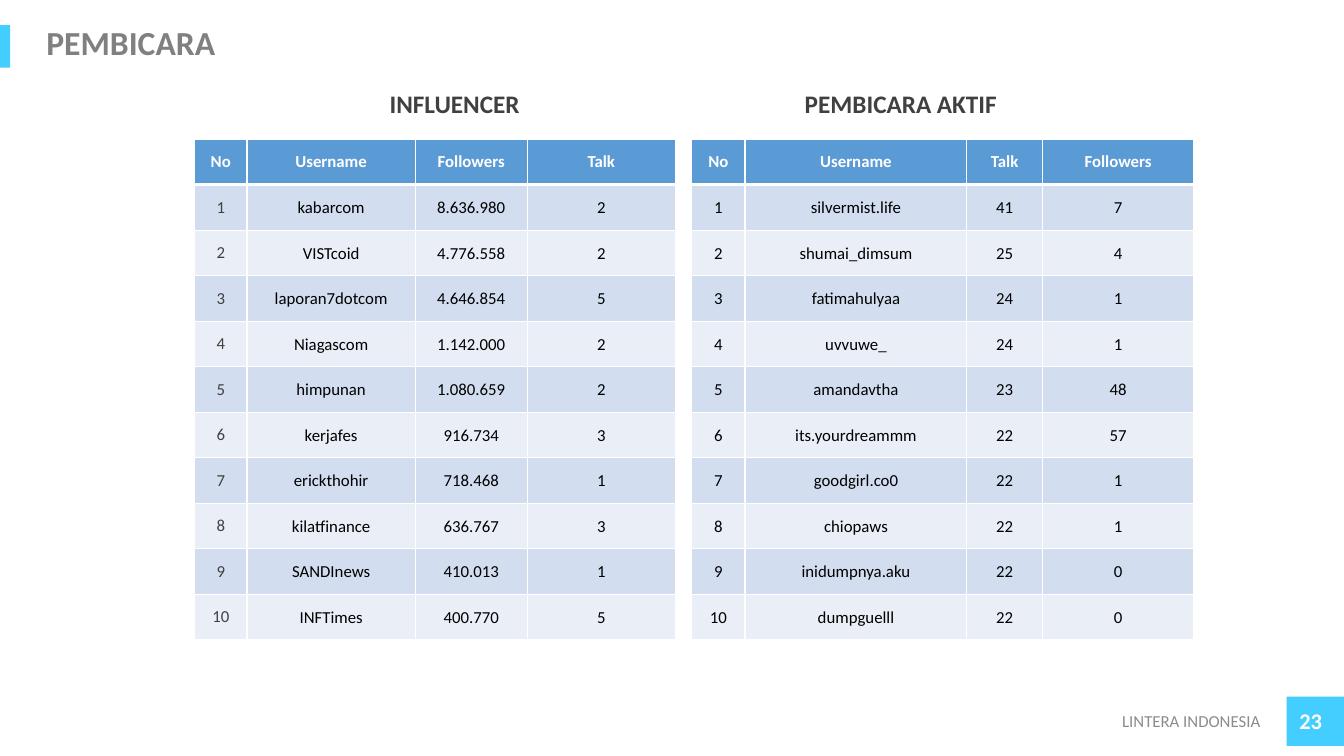
from lxml import etree
from pptx import Presentation
from pptx import util as u
from pptx.dml.color import RGBColor
from pptx.enum import shapes, text
from pptx.oxml import ns

CYAN = RGBColor(0x43, 0xCE, 0xFF)
BLUE = RGBColor(0x5B, 0x9B, 0xD5)
BAND_DARK = RGBColor(0xD2, 0xDE, 0xEF)
BAND_LIGHT = RGBColor(0xEA, 0xEF, 0xF7)
WHITE = RGBColor(0xFF, 0xFF, 0xFF)
BLACK = RGBColor(0, 0, 0)
CHARCOAL = RGBColor(0x40, 0x40, 0x40)
TITLE_GRAY = RGBColor(0x80, 0x80, 0x80)
FOOTER_GRAY = RGBColor(0x8C, 0x8C, 0x8C)

LEFT = text.PP_ALIGN.LEFT
CENTER = text.PP_ALIGN.CENTER
RIGHT = text.PP_ALIGN.RIGHT
MIDDLE = text.MSO_ANCHOR.MIDDLE
TOP = text.MSO_ANCHOR.TOP

TABLE_TOP = 1.38
TABLE_HEIGHT = 4.97
CELL_MARGINS = {"margin_left": 0.01, "margin_top": 0.01,
                "margin_right": 0.01, "margin_bottom": 0}

INFLUENCERS = [
    ("Username", "Followers", "Talk"),
    ("kabarcom", "8.636.980", "2"),
    ("VISTcoid", "4.776.558", "2"),
    ("laporan7dotcom", "4.646.854", "5"),
    ("Niagascom", "1.142.000", "2"),
    ("himpunan", "1.080.659", "2"),
    ("kerjafes", "916.734", "3"),
    ("erickthohir", "718.468", "1"),
    ("kilatfinance", "636.767", "3"),
    ("SANDInews", "410.013", "1"),
    ("INFTimes", "400.770", "5"),
]
ACTIVE_SPEAKERS = [
    ("Username", "Talk", "Followers"),
    ("silvermist.life", "41", "7"),
    ("shumai_dimsum", "25", "4"),
    ("fatimahulyaa", "24", "1"),
    ("uvvuwe_", "24", "1"),
    ("amandavtha", "23", "48"),
    ("its.yourdreammm", "22", "57"),
    ("goodgirl.co0", "22", "1"),
    ("chiopaws", "22", "1"),
    ("inidumpnya.aku", "22", "0"),
    ("dumpguelll", "22", "0"),
]


def apply(target, values):
    for name, value in values.items():
        setattr(target, name, value)


class SlideBuilder:
    font_name = "Calibri"

    def __init__(self, presentation):
        self.slide = presentation.slides.add_slide(presentation.slide_layouts[5])

    def set_text(self, frame, content, size, color, bold=False, align=LEFT):
        frame.text = content
        paragraph = frame.paragraphs[0]
        paragraph.alignment = align
        apply(paragraph.font, {"name": self.font_name, "size": u.Pt(size), "bold": bold})
        paragraph.font.color.rgb = color
        return paragraph

    def title(self, content, box):
        shape = self.slide.shapes.title
        apply(shape, dict(zip(("left", "top", "width", "height"), map(u.Inches, box))))
        apply(shape.text_frame, {"vertical_anchor": MIDDLE, "word_wrap": True,
                                 "auto_size": text.MSO_AUTO_SIZE.NONE})
        paragraph = self.set_text(shape.text_frame, content, 24, TITLE_GRAY, True)
        paragraph.line_spacing = 0.9

    def rectangle(self, box, color):
        shape = self.slide.shapes.add_shape(
            shapes.MSO_SHAPE.RECTANGLE, *map(u.Inches, box))
        shape.shadow.inherit = False
        shape.fill.solid()
        shape.fill.fore_color.rgb = color
        shape.line.fill.background()

    def label(self, content, box, size, color, bold, align, anchor=MIDDLE, wrap=True):
        frame = self.slide.shapes.add_textbox(*map(u.Inches, box)).text_frame
        apply(frame, {"word_wrap": wrap, "vertical_anchor": anchor})
        self.set_text(frame, content, size, color, bold, align)

    def borders(self, cell, widths):
        properties = cell._tc.get_or_add_tcPr()
        for index, (side, width) in enumerate(widths.items()):
            line = etree.Element(ns.qn("a:ln" + side), w=str(u.Pt(width)))
            fill = etree.SubElement(line, ns.qn("a:solidFill"))
            etree.SubElement(fill, ns.qn("a:srgbClr"), val=str(WHITE))
            properties.insert(index, line)

    def table(self, left, widths, records, number_color, number_margins):
        frame = self.slide.shapes.add_table(
            len(records), len(widths), u.Inches(left), u.Inches(TABLE_TOP),
            u.Inches(sum(widths)), u.Inches(TABLE_HEIGHT))
        table = frame.table
        for column, width in zip(table.columns, widths):
            column.width = u.Inches(width)
        for row, record in enumerate(records):
            header = row == 0
            band = BLUE if header else BAND_DARK if row % 2 else BAND_LIGHT
            values = ("No" if header else str(row), *record)
            for column, value in enumerate(values):
                cell = table.cell(row, column)
                color = WHITE if header else BLACK if column else number_color
                self.set_text(cell.text_frame, value, 12, color, header, CENTER)
                cell.vertical_anchor = MIDDLE
                if not header and (column or number_margins):
                    apply(cell, {side: u.Inches(size) for side, size in CELL_MARGINS.items()})
                cell.fill.solid()
                cell.fill.fore_color.rgb = band
                self.borders(cell, {"L": 1, "R": 1, "T": 3 if row == 1 else 1,
                                    "B": 3 if header else 1})


def main():
    presentation = Presentation()
    apply(presentation, {"slide_width": u.Inches(13.33), "slide_height": u.Inches(7.5)})
    builder = SlideBuilder(presentation)
    builder.rectangle((12.76, 6.91, 0.58, 0.49), CYAN)
    builder.rectangle((0, 0.25, 0.1, 0.42), CYAN)
    builder.label("LINTERA INDONESIA", (8.1, 6.95, 4.5, 0.4), 12, FOOTER_GRAY, False, RIGHT)
    builder.label("23", (12.29, 6.95, 0.92, 0.4), 16, WHITE, True, RIGHT)
    builder.title("PEMBICARA", (0.36, 0.24, 11.3, 0.41))
    builder.table(1.93, (0.52, 1.67, 1.11, 1.47), INFLUENCERS, CHARCOAL, False)
    builder.table(6.86, (0.53, 2.2, 0.75, 1.5), ACTIVE_SPEAKERS, BLACK, True)
    for heading, left, width in (("INFLUENCER", 3.76, 1.5), ("PEMBICARA AKTIF", 7.87, 2.13)):
        builder.label(heading, (left, 0.83, width, 0.4), 18, CHARCOAL, True, CENTER, TOP, False)
    presentation.save("out.pptx")


if __name__ == "__main__":
    main()
